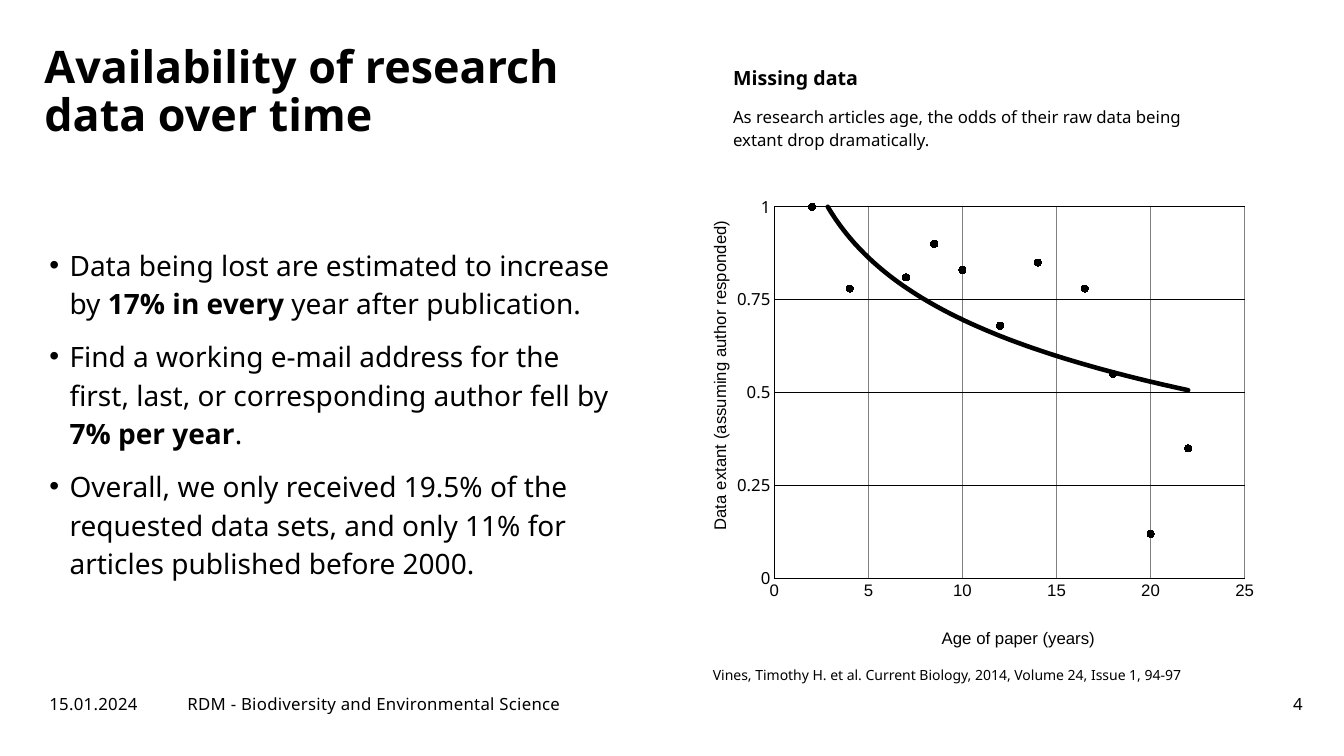
"""Build a slide on the availability of research data over time."""
from lxml import etree
from pptx import Presentation
from pptx.chart.data import XyChartData
from pptx.dml.color import RGBColor
from pptx.enum.chart import XL_CHART_TYPE, XL_MARKER_STYLE, XL_TICK_MARK
from pptx.enum.text import MSO_ANCHOR, PP_ALIGN
from pptx.oxml import parse_xml
from pptx.oxml.ns import nsdecls, qn
from pptx.util import Pt

PX = 9144
SCATTER = XL_CHART_TYPE.XY_SCATTER
CIRCLE = XL_MARKER_STYLE.CIRCLE
NO_TICK = XL_TICK_MARK.NONE
TOP, MIDDLE = MSO_ANCHOR.TOP, MSO_ANCHOR.MIDDLE
LEFT, RIGHT = PP_ALIGN.LEFT, PP_ALIGN.RIGHT
COLORS = {"ink": "000000", "grid": "808080", "page": "FFFFFF"}
SANS, CHART_FONT = "Noto Sans", "Arial"

BULLETS = [
    [("Data being lost are estimated to increase by ", False),
     ("17% in every ", True), ("year after publication.", False)],
    [("Find a working e-mail address for the first, last, or corresponding "
      "author fell by ", False), ("7% per year", True), (".", False)],
    [("Overall, we only received 19.5% of the requested data sets, and only "
      "11% for articles published before 2000.", False)],
]
POINTS = [(2, 1), (4, 0.78), (7, 0.81), (8.5, 0.9), (10, 0.83), (12, 0.68),
          (14, 0.85), (16.5, 0.78), (18, 0.55), (20, 0.12), (22, 0.35)]


def color(name):
    """Return the named colour."""
    return RGBColor.from_string(COLORS[name])


def style_font(font, size, bold=False, face=SANS):
    """Set face, size, weight and ink colour of a font."""
    font.name, font.size, font.bold = face, Pt(size), bold
    font.color.rgb = color("ink")


def style_line(line, name, width):
    """Give a line its colour and width."""
    line.color.rgb = color(name)
    line.width = Pt(width)


def add_box(page, area, insets=(0, 0, 0, 0), anchor=TOP):
    """Add a wrapping text box and return its text frame."""
    frame = page.shapes.add_textbox(*(n * PX for n in area)).text_frame
    frame.word_wrap = True
    frame.vertical_anchor = anchor
    (frame.margin_left, frame.margin_top,
     frame.margin_right, frame.margin_bottom) = (n * PX for n in insets)
    return frame


def add_para(frame, spans, size, spacing=1.15, bullet=False):
    """Append a paragraph made of (text, bold) spans."""
    first = not frame.paragraphs[0].runs
    para = frame.paragraphs[0] if first else frame.add_paragraph()
    para.line_spacing = spacing
    para.space_before = Pt(0 if first else 10)
    if bullet:
        add_bullet(para)
    for text, bold in spans:
        span = para.add_run()
        span.text = text
        style_font(span.font, size, bold)


def add_bullet(para):
    """Give a paragraph a hanging round bullet."""
    props = para._p.get_or_add_pPr()
    props.set("marL", str(20 * PX))
    props.set("indent", str(-20 * PX))
    tint = etree.SubElement(props, qn("a:buClr"))
    etree.SubElement(tint, qn("a:srgbClr"), val=COLORS["ink"])
    etree.SubElement(props, qn("a:buFont"), typeface=CHART_FONT)
    etree.SubElement(props, qn("a:buChar"), char="•")


def add_footer(page, left, width, text, inset=8, align=LEFT):
    """Add one entry of the footer row."""
    frame = add_box(page, (left, 682, width, 33), (inset, 8, 8, 8), MIDDLE)
    frame.text = text
    para = frame.paragraphs[0]
    para.alignment = align
    span = para.runs[0]
    style_font(span.font, 12)
    span.font._element.set("spc", "20")


def set_layout(parent, index, values, target=""):
    """Place a chart part by fractions of the chart area."""
    old = parent.find(qn("c:layout"))
    if old is not None:
        parent.remove(old)
    layout = parse_xml(f"<c:layout {nsdecls('c')}><c:manualLayout/></c:layout>")
    names = ["xMode", "yMode"] + ["x", "y", "w", "h"][:len(values)]
    settings = list(zip(names, ["edge", "edge", *values]))
    if target:
        settings.insert(0, ("layoutTarget", target))
    for name, value in settings:
        etree.SubElement(layout[0], qn(f"c:{name}"), val=str(value))
    parent.insert(index, layout)


def style_axis(axis, title, place, top, step, grid, face):
    """Set the scale, grid, labels and title of an axis."""
    axis.minimum_scale, axis.maximum_scale, axis.major_unit = 0, top, step
    axis.major_tick_mark = axis.minor_tick_mark = NO_TICK
    axis.has_major_gridlines = True
    style_line(axis.major_gridlines.format.line, grid, 0.75)
    style_line(axis.format.line, "ink", 0.75)
    style_font(axis.tick_labels.font, 12, face=face)
    axis.tick_labels.number_format = "General"
    axis.tick_labels.number_format_is_linked = False
    frame = axis.axis_title.text_frame
    frame.text = title
    style_font(frame.paragraphs[0].runs[0].font, 12, face=CHART_FONT)
    set_layout(axis.axis_title._element, 1, place)
    return frame


def add_trend(series):
    """Add a logarithmic trend line to a series."""
    trend = parse_xml(
        f"<c:trendline {nsdecls('c', 'a')}><c:spPr>"
        f'<a:ln w="{Pt(3.25)}" cap="rnd"><a:solidFill>'
        f'<a:srgbClr val="{COLORS["ink"]}"/></a:solidFill></a:ln></c:spPr>'
        '<c:trendlineType val="log"/><c:dispRSqr val="0"/>'
        '<c:dispEq val="0"/></c:trendline>')
    series._element.find(qn("c:xVal")).addprevious(trend)


def add_scatter(page):
    """Add the scatter chart of data availability by paper age."""
    data = XyChartData()
    papers = data.add_series("Series 1")
    for age, share in POINTS:
        papers.add_data_point(age, share)
    area = (n * PX for n in (695, 187, 562, 460))
    chart = page.shapes.add_chart(SCATTER, *area, data).chart
    chart.has_legend = chart.has_title = False
    style_font(chart.font, 10, face=CHART_FONT)
    plot = chart.plots[0]
    plot.vary_by_categories = False
    series = plot.series[0]
    series.smooth = False
    series.format.line.fill.background()
    series.marker.style, series.marker.size = CIRCLE, 5
    series.marker.format.fill.solid()
    series.marker.format.fill.fore_color.rgb = color("ink")
    style_line(series.marker.format.line, "ink", 0.75)
    add_trend(series)
    style_axis(chart.category_axis, "Age of paper (years)", (0.42, 0.95),
               25, 5, "grid", CHART_FONT)
    frame = style_axis(chart.value_axis,
                       "Data extant (assuming author responded)",
                       (0.01, 0.07), 1, 0.25, "ink", SANS)
    frame._txBody.bodyPr.set("rot", "-5400000")
    frame._txBody.bodyPr.set("vert", "horz")
    plot_area = chart._chartSpace.chart.plotArea
    set_layout(plot_area, 0, (0.13, 0.04, 0.83, 0.81), "inner")


def main():
    """Build and save the deck."""
    deck = Presentation()
    deck.slide_width, deck.slide_height = 1333 * PX, 750 * PX
    page = deck.slides.add_slide(deck.slide_layouts[6])
    page.background.fill.solid()
    page.background.fill.fore_color.rgb = color("page")
    add_scatter(page)
    add_footer(page, 33, 122, "15.01.2024", inset=16)
    add_footer(page, 178, 976, "RDM - Biodiversity and Environmental Science")
    add_footer(page, 1226, 74, "4", align=RIGHT)
    body = add_box(page, (33, 204, 602, 447), (16, 16, 16, 54), MIDDLE)
    for spans in BULLETS:
        add_para(body, spans, 20, bullet=True)
    intro = add_box(page, (727, 62, 492, 86))
    add_para(intro, [("Missing data", True)], 14)
    add_para(intro, [("As research articles age, the odds of their raw data "
                      "being extant drop dramatically.", False)], 12)
    citation = add_box(page, (707, 659, 512, 24), (0, 0, 0, 6))
    add_para(citation, [("Vines, Timothy H. et al. Current Biology, 2014, "
                         "Volume 24, Issue 1, 94-97", False)], 10)
    title = add_box(page, (44, 44, 578, 143))
    add_para(title, [("Availability of research data over time", True)], 32, 0.9)
    deck.save("out.pptx")


if __name__ == "__main__":
    main()
